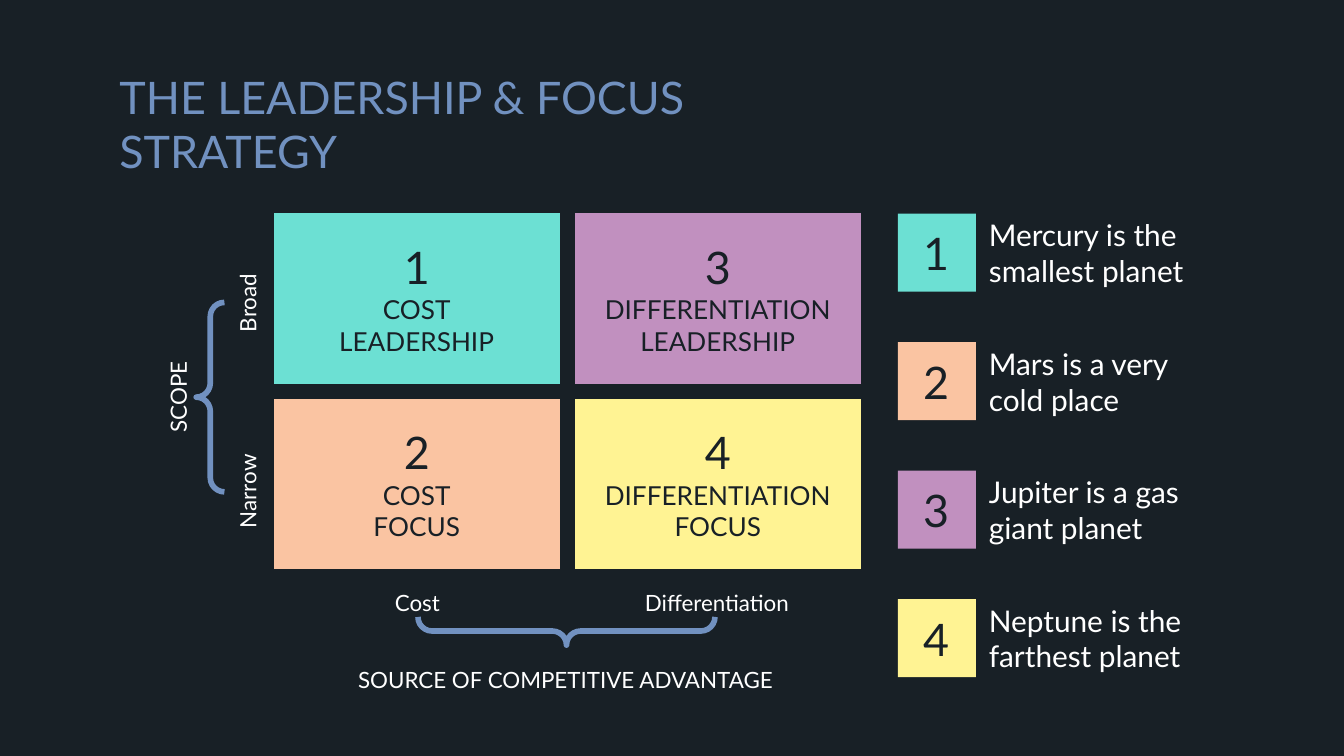
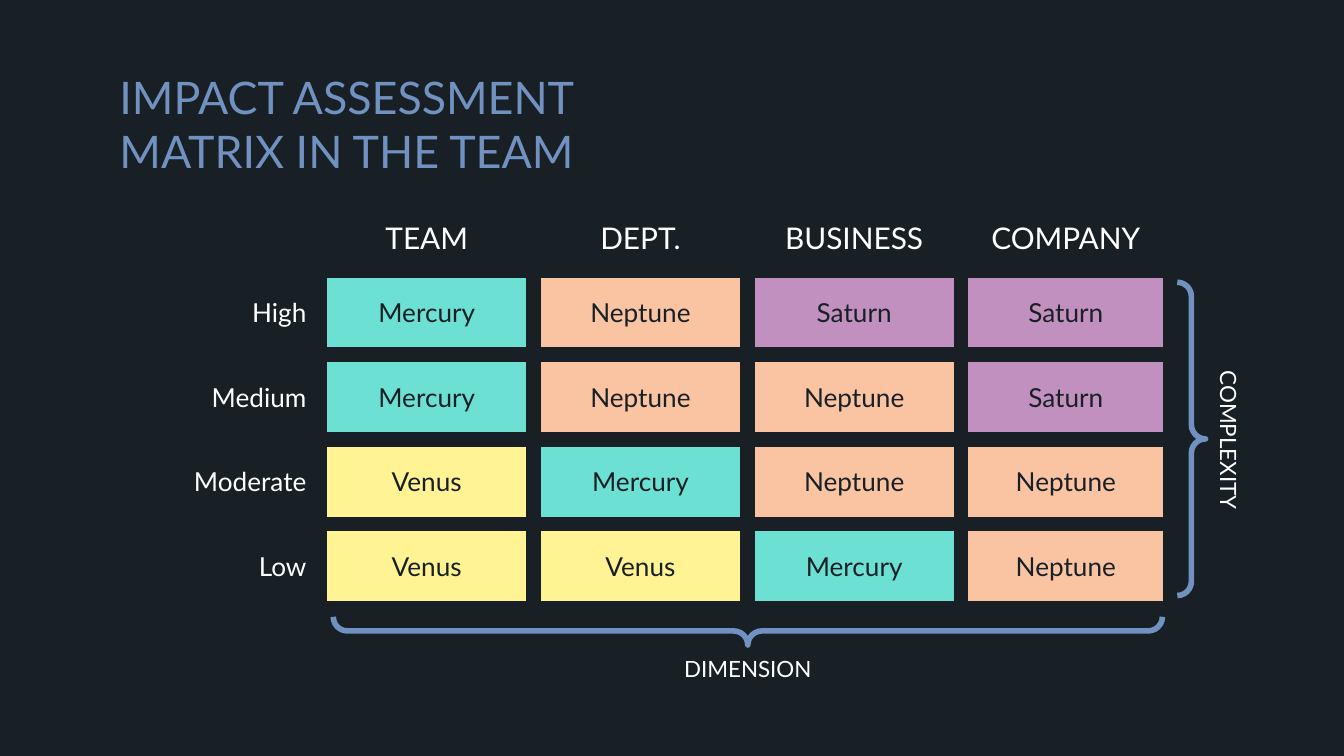
from dataclasses import dataclass
from typing import Optional

from lxml import etree
from pptx import Presentation
from pptx.dml.color import RGBColor
from pptx.enum.shapes import MSO_SHAPE
from pptx.enum.text import MSO_ANCHOR, PP_ALIGN
from pptx.oxml.ns import qn
from pptx.util import Pt

LEFT, CENTER, RIGHT = PP_ALIGN.LEFT, PP_ALIGN.CENTER, PP_ALIGN.RIGHT
TOP, MIDDLE = MSO_ANCHOR.TOP, MSO_ANCHOR.MIDDLE
RECT, BRACE = MSO_SHAPE.RECTANGLE, MSO_SHAPE.LEFT_BRACE


@dataclass(frozen=True)
class Theme:
    """Colours, type sizes and spacing shared by the slides."""
    font: str = "Lato"
    dark: str = "182026"
    white: str = "FFFFFF"
    blue: str = "7191C0"
    teal: str = "6CE0D3"
    peach: str = "FAC4A2"
    purple: str = "C190BF"
    yellow: str = "FFF393"
    title: float = 24
    body: float = 16
    cell: float = 14
    label: float = 12
    inset: float = 7.2
    border: float = 9
    brace: float = 3


T = Theme()


@dataclass(frozen=True)
class Para:
    """A paragraph in one style; a newline is a line break."""
    text: str
    size: float
    color: str
    align: PP_ALIGN = CENTER


@dataclass(frozen=True)
class Box:
    """A position and size in points, with a rotation in degrees."""
    left: float
    top: float
    width: float
    height: float
    rotation: float = 0

    def lengths(self) -> tuple:
        """Return left, top, width and height as lengths."""
        return Pt(self.left), Pt(self.top), Pt(self.width), Pt(self.height)


@dataclass(frozen=True)
class Label:
    """A small caption beside a table or brace."""
    text: str
    box: Box
    anchor: MSO_ANCHOR = MIDDLE


@dataclass(frozen=True)
class Cell:
    """The paragraphs and fill of one table cell."""
    paras: tuple = ()
    fill: Optional[str] = None


@dataclass(frozen=True)
class Strategy:
    """A numbered strategy with its quadrant text and legend text."""
    number: str
    lines: tuple
    legend: str
    color: str

    def quadrant(self) -> Cell:
        """Return the table cell of this strategy."""
        names = tuple(Para(line, T.cell, T.dark) for line in self.lines)
        return Cell((Para(self.number, T.title, T.dark), *names), self.color)


STRATEGIES = (
    Strategy("1", ("COST\nLEADERSHIP",), "Mercury is the smallest planet", T.teal),
    Strategy("2", ("COST\nFOCUS",), "Mars is a very cold place", T.peach),
    Strategy("3", ("DIFFERENTIATION", "LEADERSHIP"), "Jupiter is a gas giant planet", T.purple),
    Strategy("4", ("DIFFERENTIATION FOCUS",), "Neptune is the farthest planet", T.yellow),
)
STRATEGY_LABELS = (
    Label("Narrow", Box(85, 253.4, 95, 19.4, 270)),
    Label("Broad", Box(85, 152.6, 95, 19.4, 270)),
    Label("SCOPE", Box(2.4, 203, 186, 19.4, 270)),
    Label("Cost", Box(160.6, 308.2, 126, 16.6), TOP),
    Label("Differentiation", Box(321.1, 308.2, 126, 16.6), TOP),
    Label("SOURCE OF COMPETITIVE ADVANTAGE", Box(145.4, 349.9, 315.4, 16.6), TOP),
)
STRATEGY_BRACES = (Box(105.1, 162, 15.1, 101.5), Box(295.9, 258.5, 15.1, 159.1, 270))

PLANET_COLORS = {"Mercury": T.teal, "Neptune": T.peach, "Saturn": T.purple, "Venus": T.yellow}
DIMENSIONS = ("TEAM", "DEPT.", "BUSINESS", "COMPANY")
IMPACTS = {
    "High": ("Mercury", "Neptune", "Saturn", "Saturn"),
    "Medium": ("Mercury", "Neptune", "Neptune", "Saturn"),
    "Moderate": ("Venus", "Mercury", "Neptune", "Neptune"),
    "Low": ("Venus", "Venus", "Mercury", "Neptune"),
}
IMPACT_LABELS = (
    Label("COMPLEXITY", Box(598.4, 226.1, 120, 19.4, 90)),
    Label("DIMENSION", Box(203, 348.5, 395.3, 19.4)),
)
IMPACT_BRACES = (Box(630.7, 151.2, 15.1, 167.8, 180), Box(393.1, 115.9, 15.1, 444.2, 270))


def rgb(color: str) -> RGBColor:
    """Turn a hex string into a colour."""
    return RGBColor.from_string(color)


def write(tf, paras: tuple) -> None:
    """Write paragraphs into a text frame."""
    for i, para in enumerate(paras):
        p = tf.add_paragraph() if i else tf.paragraphs[0]
        p.alignment = para.align
        for j, line in enumerate(para.text.split("\n")):
            if j:
                p.add_line_break()
            r = p.add_run()
            r.text = line
            r.font.name = T.font
            r.font.size = Pt(para.size)
            r.font.color.rgb = rgb(para.color)


def add_text(s, box: Box, para: Para, anchor: MSO_ANCHOR = MIDDLE, side: float = T.inset) -> None:
    """Add a wrapping text box."""
    sp = s.shapes.add_textbox(*box.lengths())
    sp.rotation = box.rotation
    tf = sp.text_frame
    tf.word_wrap = True
    tf.vertical_anchor = anchor
    tf.margin_left = tf.margin_right = Pt(side)
    tf.margin_top = tf.margin_bottom = Pt(T.inset)
    write(tf, (para,))


def add_square(s, box: Box, color: str) -> None:
    """Add a filled rectangle without an outline."""
    sp = s.shapes.add_shape(RECT, *box.lengths())
    sp.shadow.inherit = False
    sp.fill.solid()
    sp.fill.fore_color.rgb = rgb(color)
    sp.line.fill.background()


def add_brace(s, box: Box) -> None:
    """Add an outlined brace."""
    sp = s.shapes.add_shape(BRACE, *box.lengths())
    sp.shadow.inherit = False
    sp.rotation = box.rotation
    sp.adjustments[0] = sp.adjustments[1] = 0.5
    sp.fill.background()
    sp.line.color.rgb = rgb(T.blue)
    sp.line.width = Pt(T.brace)


def set_borders(cell) -> None:
    """Draw all four borders of a cell in the background colour."""
    tc_pr = cell._tc.get_or_add_tcPr()
    for side in ("a:lnL", "a:lnR", "a:lnT", "a:lnB"):
        ln = etree.SubElement(tc_pr, qn(side), w=str(Pt(T.border)))
        fill = etree.SubElement(ln, qn("a:solidFill"))
        etree.SubElement(fill, qn("a:srgbClr"), val=T.dark)


def add_matrix(s, left: float, top: float, widths: tuple, heights: tuple, rows: tuple) -> None:
    """Add a table of separated colour cells."""
    box = Box(left, top, sum(widths), sum(heights))
    table = s.shapes.add_table(len(heights), len(widths), *box.lengths()).table
    table.first_row = table.horz_banding = False
    for column, width in zip(table.columns, widths):
        column.width = Pt(width)
    for row, height, items in zip(table.rows, heights, rows):
        row.height = Pt(height)
        for cell, item in zip(row.cells, items):
            set_borders(cell)
            if item.fill:
                cell.fill.solid()
                cell.fill.fore_color.rgb = rgb(item.fill)
            else:
                cell.fill.background()
            if item.paras:
                cell.vertical_anchor = MIDDLE
                cell.margin_left = cell.margin_right = Pt(T.inset)
                cell.margin_top = cell.margin_bottom = Pt(T.inset)
                write(cell.text_frame, item.paras)


def add_slide(prs, title: str):
    """Add a dark slide with its title."""
    s = prs.slides.add_slide(prs.slide_layouts[6])
    s.background.fill.solid()
    s.background.fill.fore_color.rgb = rgb(T.dark)
    add_text(s, Box(56.9, 30.2, 323.3, 67), Para(title, T.title, T.blue, LEFT), TOP)
    return s


def annotate(s, labels: tuple, braces: tuple) -> None:
    """Add the captions and braces around a table."""
    for label in labels:
        add_text(s, label.box, Para(label.text, T.label, T.white), label.anchor)
    for brace in braces:
        add_brace(s, brace)


def strategy_slide(prs) -> None:
    """Build the four strategies and their legend."""
    s = add_slide(prs, "THE LEADERSHIP & FOCUS STRATEGY")
    quadrants = [strategy.quadrant() for strategy in STRATEGIES]
    add_matrix(s, 142.6, 110.2, (161.3,) * 2, (99.4,) * 2, (quadrants[::2], quadrants[1::2]))
    for i, strategy in enumerate(STRATEGIES):
        top = 114.5 + 68.8 * i
        add_text(s, Box(522.7, top, 141, 41.8), Para(strategy.legend, T.body, T.white, LEFT))
        add_square(s, Box(481, top, 41.8, 41.8), strategy.color)
        add_text(s, Box(484.6, top - 1, 33.8, 43.9), Para(strategy.number, T.title, T.dark), side=0)
    annotate(s, STRATEGY_LABELS, STRATEGY_BRACES)


def impact_slide(prs) -> None:
    """Build the impact matrix."""
    s = add_slide(prs, "IMPACT ASSESSMENT MATRIX IN THE TEAM")
    rows = [[Cell()] + [Cell((Para(name, T.body, T.white),)) for name in DIMENSIONS]]
    for level, planets in IMPACTS.items():
        head = Cell((Para(level, T.cell, T.white, RIGHT),))
        rows.append([head] + [Cell((Para(planet, T.cell, T.dark),), PLANET_COLORS[planet])
                              for planet in planets])
    widths = (85.7, 114.5, 114.5, 114.5, 112.3)
    add_matrix(s, 85.7, 110.2, widths, (34.6,) + (45.3,) * 4, tuple(rows))
    annotate(s, IMPACT_LABELS, IMPACT_BRACES)


def main() -> None:
    """Build and save the presentation."""
    prs = Presentation()
    prs.slide_width, prs.slide_height = Pt(720), Pt(405)
    strategy_slide(prs)
    impact_slide(prs)
    prs.save("out.pptx")


if __name__ == "__main__":
    main()
